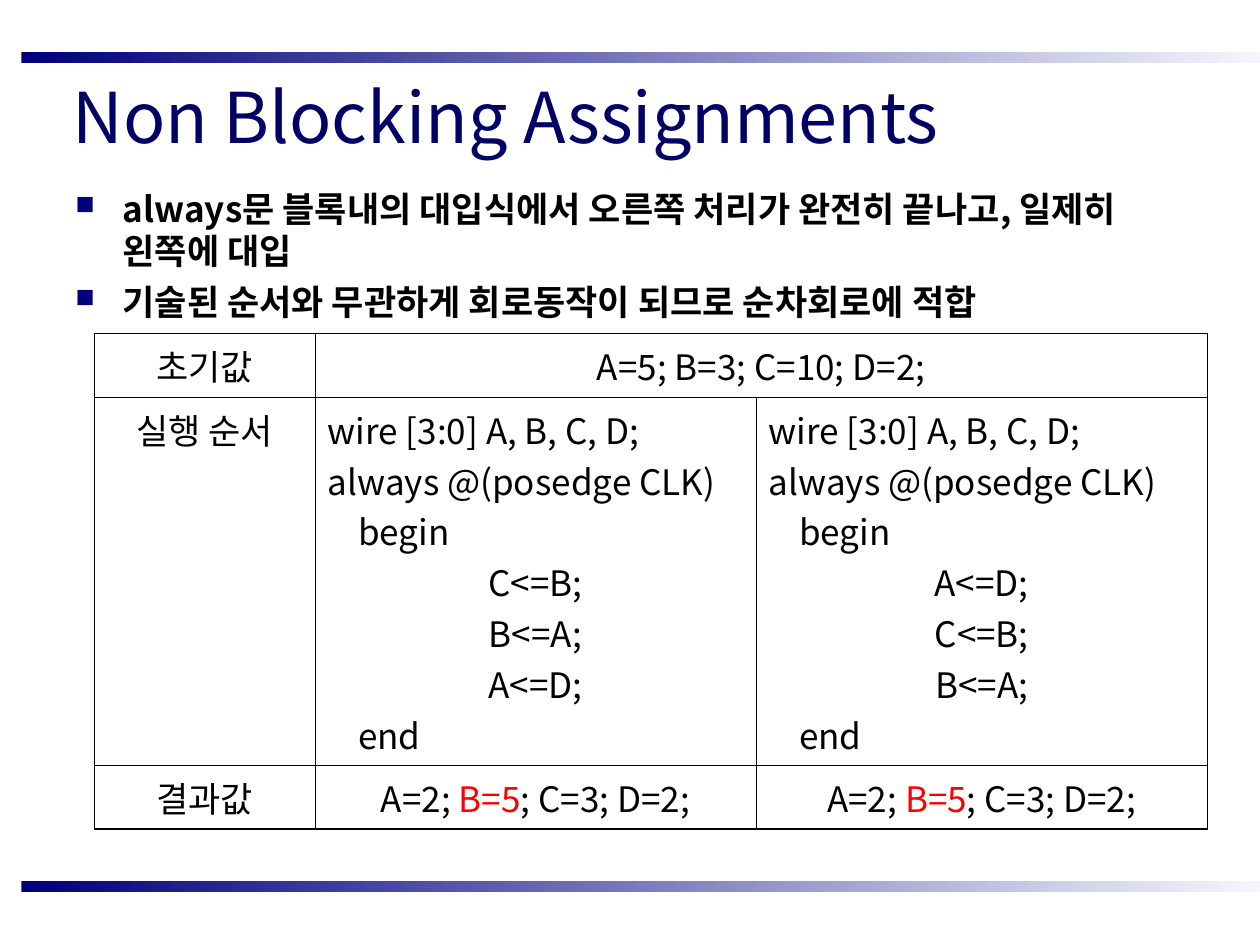
from lxml import etree
from pptx import Presentation
from pptx.dml.color import RGBColor
from pptx.enum import shapes, text
from pptx.oxml import ns
from pptx.util import Pt

FONT = "Noto Sans CJK KR"
BLACK = RGBColor(0, 0, 0)
RED = RGBColor(0xFF, 0, 0)
TITLE_BLUE = RGBColor(0, 0, 0x66)
BAR_DARK = RGBColor(0, 0, 0x7D)
BAR_LIGHT = RGBColor(0xF5, 0xF5, 0xFD)

OUTER, INNER = 1.08, 0.45
COLUMNS = (126, 252, 258)
ROWS = (36.4, 210.4, 36.4)

POINTS = (
    "always문 블록내의 대입식에서 오른쪽 처리가 완전히 끝나고, 일제히 왼쪽에 대입",
    "기술된 순서와 무관하게 회로동작이 되므로 순차회로에 적합",
)
INITIAL = "A=5; B=3; C=10; D=2;"
RESULT = (("A=2; ", BLACK), ("B=5", RED), ("; C=3; D=2;", BLACK))
ORDERS = (("C<=B;", "B<=A;", "A<=D;"), ("A<=D;", "C<=B;", "B<=A;"))


def add_element(parent, tag, **attributes):
    return etree.SubElement(parent, ns.qn(tag), **attributes)


def write(paragraph, content, size=20, color=BLACK, bold=False, centered=False, indent=0):
    """Fill a paragraph with a string or with (string, colour) pairs."""
    pairs = ((content, color),) if isinstance(content, str) else content
    for words, run_color in pairs:
        run = paragraph.add_run()
        run.text = words
        run.font.size = Pt(size)
        run.font.name = FONT
        run.font.bold = bold
        run.font.color.rgb = run_color
        add_element(run.font._element, "a:ea", typeface=FONT)
    paragraph.alignment = text.PP_ALIGN.CENTER if centered else text.PP_ALIGN.LEFT
    if indent:
        paragraph._p.get_or_add_pPr().set("marL", str(Pt(indent)))


def paragraphs(frame, count):
    return [frame.paragraphs[0]] + [frame.add_paragraph() for _ in range(count - 1)]


def add_bar(slide, top):
    bar = slide.shapes.add_shape(
        shapes.MSO_SHAPE.RECTANGLE, Pt(12.2), Pt(top), Pt(707.8), Pt(6))
    bar.shadow.inherit = False
    bar.line.fill.background()
    bar.fill.gradient()
    bar.fill.gradient_angle = 0
    for stop, color in zip(bar.fill.gradient_stops, (BAR_DARK, BAR_LIGHT)):
        stop.color.rgb = color


def add_text_frame(slide, left, top, width, height):
    frame = slide.shapes.add_textbox(Pt(left), Pt(top), Pt(width), Pt(height)).text_frame
    frame.word_wrap = True
    return frame


def add_title(slide):
    frame = add_text_frame(slide, 34.4, 35.2, 661.7, 61.9)
    frame.vertical_anchor = text.MSO_ANCHOR.MIDDLE
    write(frame.paragraphs[0], "Non Blocking Assignments", size=40, color=TITLE_BLUE)


def add_points(slide):
    frame = add_text_frame(slide, 36, 103.7, 648, 390.2)
    for paragraph, point in zip(paragraphs(frame, len(POINTS)), POINTS):
        write(paragraph, point, bold=True, indent=27)
        paragraph.space_before = Pt(5)
        paragraph.line_spacing = Pt(24)
        properties = paragraph._p.get_or_add_pPr()
        properties.set("indent", str(Pt(-27)))
        color = add_element(properties, "a:buClr")
        add_element(color, "a:srgbClr", val=str(BAR_DARK))
        add_element(properties, "a:buSzPct", val="75000")
        add_element(properties, "a:buChar", char="■")


def set_borders(cell, row, column):
    """Draw the outer edges of the table thicker than the inner ones."""
    edges = {
        "a:lnL": column == 0,
        "a:lnR": column == len(COLUMNS) - 1,
        "a:lnT": row == 0,
        "a:lnB": row == len(ROWS) - 1,
    }
    properties = cell._tc.get_or_add_tcPr()
    for tag, is_outer in edges.items():
        line = add_element(properties, tag, w=str(Pt(OUTER if is_outer else INNER)))
        fill = add_element(line, "a:solidFill")
        add_element(fill, "a:srgbClr", val=str(BLACK))


def write_code(cell, order):
    lines = [("wire [3:0] A, B, C, D;", {}), ("always @(posedge CLK)", {}),
             ("begin", {"indent": 17.5})]
    lines += [(statement, {"centered": True}) for statement in order]
    lines.append(("end", {"indent": 17.5}))
    for paragraph, (line, layout) in zip(paragraphs(cell.text_frame, len(lines)), lines):
        write(paragraph, line, **layout)


def add_assignment_table(slide):
    table = slide.shapes.add_table(
        len(ROWS), len(COLUMNS), Pt(54), Pt(190.6), Pt(sum(COLUMNS)), Pt(sum(ROWS))).table
    table.first_row = table.horz_banding = False
    for column, width in zip(table.columns, COLUMNS):
        column.width = Pt(width)
    for row, height in zip(table.rows, ROWS):
        row.height = Pt(height)
    for r in range(len(ROWS)):
        for c in range(len(COLUMNS)):
            set_borders(table.cell(r, c), r, c)
            table.cell(r, c).fill.background()
    table.cell(0, 1).merge(table.cell(0, 2))

    for r, label in enumerate(("초기값", "실행 순서", "결과값")):
        write(table.cell(r, 0).text_frame.paragraphs[0], label, centered=True)
    write(table.cell(0, 1).text_frame.paragraphs[0], INITIAL, centered=True)
    for c, order in enumerate(ORDERS, start=1):
        write_code(table.cell(1, c), order)
        write(table.cell(2, c).text_frame.paragraphs[0], RESULT, centered=True)


def main():
    deck = Presentation()
    deck.slide_width, deck.slide_height = Pt(720), Pt(540)
    slide = deck.slides.add_slide(deck.slide_layouts[6])
    for top in (30, 503.5):
        add_bar(slide, top)
    add_title(slide)
    add_points(slide)
    add_assignment_table(slide)
    deck.save("out.pptx")


if __name__ == "__main__":
    main()
